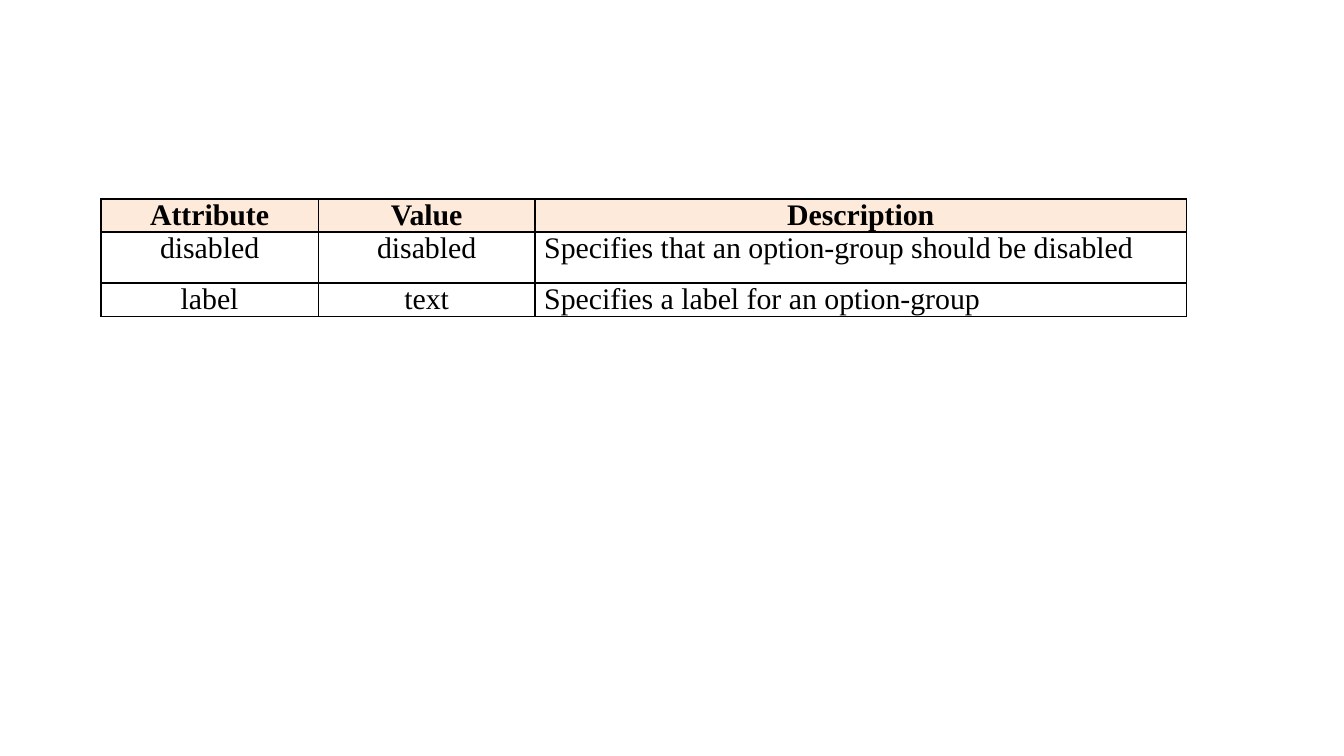
from lxml import etree
from pptx import Presentation
from pptx.dml.color import RGBColor
from pptx.enum.text import PP_ALIGN
from pptx.oxml.ns import qn
from pptx.util import Inches, Pt

CENTER, LEFT = PP_ALIGN.CENTER, PP_ALIGN.LEFT

ROWS = [
    ("Attribute", "Value", "Description"),
    ("disabled", "disabled", "Specifies that an option-group should be disabled"),
    ("label", "text", "Specifies a label for an option-group"),
]
WIDTHS = (1.62, 1.61, 4.85)
HEIGHTS = (0.19, 0.38, 0.19)
ORIGIN = (0.75, 1.48)
WIDE = 10
HIGH = WIDE * 9 / 16

THEME = {"font": "Times New Roman", "size": 16, "ink": "000000",
         "head": "FDEADA", "line": 1, "pad": 0.07}


def add_borders(cell):
    """Draw a solid line on all four sides; call before setting the fill."""
    props = cell._tc.get_or_add_tcPr()
    for side in ("lnL", "lnR", "lnT", "lnB"):
        line = etree.SubElement(props, qn(f"a:{side}"), w=str(Pt(THEME["line"])))
        fill = etree.SubElement(line, qn("a:solidFill"))
        etree.SubElement(fill, qn("a:srgbClr"), val=THEME["ink"])


def fill_cell(cell, text, head, align):
    cell.margin_left = cell.margin_right = Inches(THEME["pad"])
    cell.margin_top = cell.margin_bottom = 0
    add_borders(cell)
    if head:
        cell.fill.solid()
        cell.fill.fore_color.rgb = RGBColor.from_string(THEME["head"])
    else:
        cell.fill.background()
    para = cell.text_frame.paragraphs[0]
    para.alignment = align
    run = para.add_run()
    run.text = text
    font = run.font
    font.name, font.size, font.bold = THEME["font"], Pt(THEME["size"]), head
    font.color.rgb = RGBColor.from_string(THEME["ink"])


def add_grid(slide):
    box = (*ORIGIN, sum(WIDTHS), sum(HEIGHTS))
    frame = slide.shapes.add_table(len(ROWS), len(WIDTHS), *map(Inches, box))
    table = frame.table
    table.horz_banding = False
    for col, width in zip(table.columns, WIDTHS):
        col.width = Inches(width)
    for r, (row, height) in enumerate(zip(ROWS, HEIGHTS)):
        table.rows[r].height = Inches(height)
        for c, text in enumerate(row):
            head = r == 0
            align = CENTER if head or c < 2 else LEFT
            fill_cell(table.cell(r, c), text, head, align)


def main():
    deck = Presentation()
    deck.slide_width, deck.slide_height = Inches(WIDE), Inches(HIGH)
    add_grid(deck.slides.add_slide(deck.slide_layouts[6]))
    deck.save("out.pptx")


if __name__ == "__main__":
    main()
